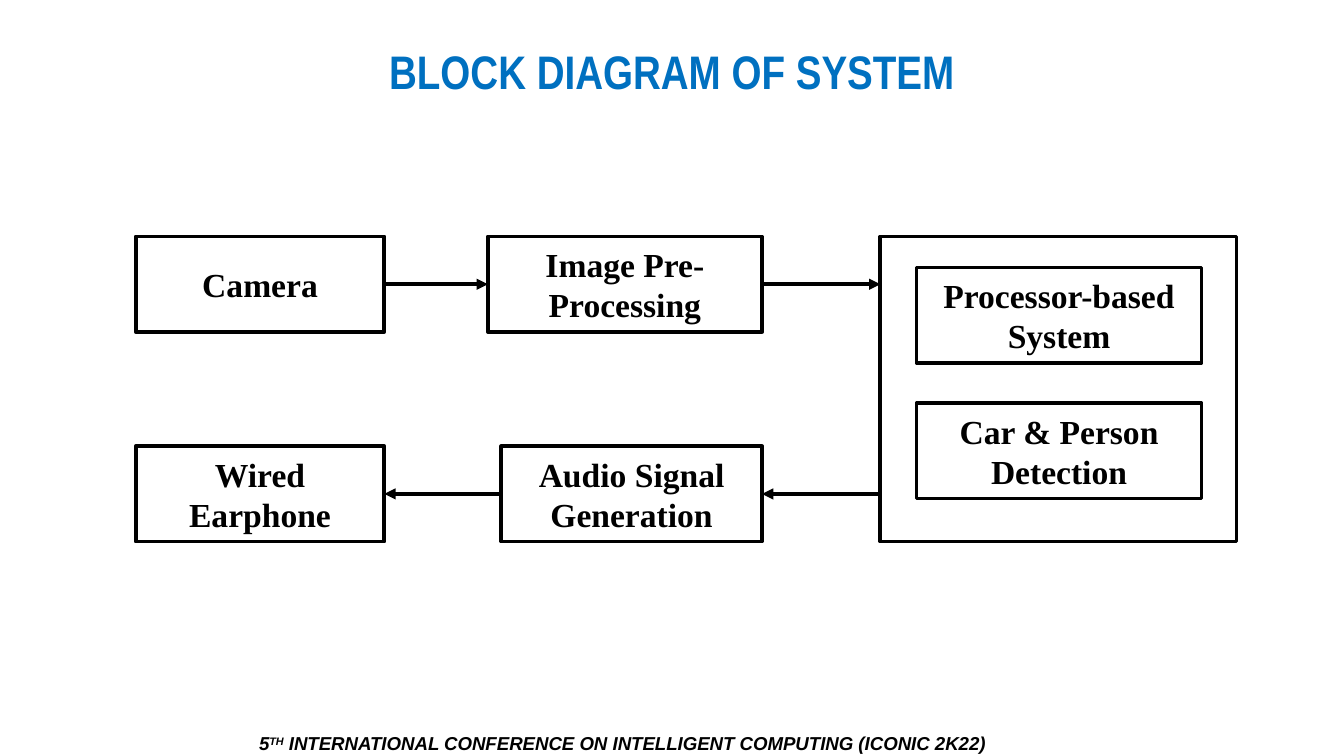
"""Build the block diagram slide of the car and person detection system."""
from dataclasses import dataclass

from lxml import etree
from pptx import Presentation
from pptx.dml.color import RGBColor
from pptx.enum.shapes import MSO_CONNECTOR, MSO_SHAPE
from pptx.enum.text import MSO_ANCHOR, MSO_AUTO_SIZE, PP_ALIGN
from pptx.oxml.ns import qn
from pptx.util import Inches, Pt

RECTANGLE = MSO_SHAPE.RECTANGLE
STRAIGHT = MSO_CONNECTOR.STRAIGHT
TOP, MIDDLE = MSO_ANCHOR.TOP, MSO_ANCHOR.MIDDLE
CENTER = PP_ALIGN.CENTER
NO_AUTOFIT = MSO_AUTO_SIZE.NONE

WIDTH = 10
HEIGHT = WIDTH * 9 / 16
BLACK, WHITE, BLUE = "000000", "FFFFFF", "0070C0"
LINE_WIDTH = 2
BLOCK_HEIGHT = 0.71
TOP_ROW, BOTTOM_ROW = 1.76, 3.32
INNER_TOP, INNER_BOTTOM = 1.99, 3


@dataclass(frozen=True)
class Column:
    """A horizontal span in inches."""
    left: float
    right: float


@dataclass(frozen=True)
class Block:
    """A box of the diagram, placed by column and row."""
    text: str
    column: Column
    top: float
    height: float = BLOCK_HEIGHT


@dataclass(frozen=True)
class Arrow:
    """A horizontal arrow through the middle of a row."""
    start: float
    end: float
    row: float


ENDS = Column(1.01, 2.86)
IMAGE = Column(3.63, 5.67)
AUDIO = Column(3.73, 5.67)
SYSTEM = Column(6.55, 9.2)
INNER = Column(6.82, 8.94)

BLOCKS = [
    Block("Camera", ENDS, TOP_ROW),
    Block("Audio Signal Generation", AUDIO, BOTTOM_ROW),
    Block("", SYSTEM, TOP_ROW, BOTTOM_ROW + BLOCK_HEIGHT - TOP_ROW),
    Block("Image Pre-Processing", IMAGE, TOP_ROW),
    Block("Wired Earphone", ENDS, BOTTOM_ROW),
    Block("Processor-based System", INNER, INNER_TOP),
    Block("Car & Person Detection", INNER, INNER_BOTTOM),
]
ARROWS = [
    Arrow(ENDS.right, IMAGE.left, TOP_ROW),
    Arrow(IMAGE.right, SYSTEM.left, TOP_ROW),
    Arrow(AUDIO.left, ENDS.right, BOTTOM_ROW),
    Arrow(SYSTEM.left, AUDIO.right, BOTTOM_ROW),
]
FOOTER = [
    ("5", 0),
    ("TH", 30),
    (" INTERNATIONAL CONFERENCE ON INTELLIGENT COMPUTING (ICONIC 2K22)", 0),
]


def color(value: str) -> RGBColor:
    """Turn a hex string into a colour."""
    return RGBColor.from_string(value)


def add_run(paragraph, text: str, name: str, size: float, value: str = BLACK,
            italic: bool = False, baseline: int = 0) -> None:
    """Add one bold run, raised by a percentage if asked."""
    run = paragraph.add_run()
    run.text = text
    run.font.name, run.font.size = name, Pt(size)
    run.font.bold, run.font.italic = True, italic
    run.font.color.rgb = color(value)
    if baseline:
        run.font._element.set("baseline", str(baseline * 1000))


def prepare_text(shape, anchor=MIDDLE):
    """Set up a wrapping text frame and return its centred paragraph."""
    frame = shape.text_frame
    frame.word_wrap = True
    frame.auto_size = NO_AUTOFIT
    frame.vertical_anchor = anchor
    paragraph = frame.paragraphs[0]
    paragraph.alignment = CENTER
    return paragraph


def add_title(slide) -> None:
    """Place and format the title placeholder."""
    title = slide.shapes.title
    title.left, title.top = Inches(0.05 * WIDTH), Inches(0.32)
    title.width, title.height = Inches(0.9 * WIDTH), Inches(0.41)
    paragraph = prepare_text(title)
    frame = title.text_frame
    frame.margin_left = frame.margin_right = Inches(0.1)
    frame.margin_top = frame.margin_bottom = Inches(0.1)
    add_run(paragraph, "BLOCK DIAGRAM OF SYSTEM", "Arial Narrow", 25.2, BLUE)


def add_block(slide, block: Block) -> None:
    """Draw one outlined box with its label."""
    column = block.column
    shape = slide.shapes.add_shape(
        RECTANGLE, Inches(column.left), Inches(block.top),
        Inches(column.right - column.left), Inches(block.height))
    shape.shadow.inherit = False
    shape.fill.solid()
    shape.fill.fore_color.rgb = color(WHITE)
    shape.line.color.rgb = color(BLACK)
    shape.line.width = Pt(LINE_WIDTH)
    if block.text:
        add_run(prepare_text(shape), block.text, "Times New Roman", 18)


def add_arrow(slide, arrow: Arrow) -> None:
    """Draw one connector with a triangle at its end."""
    y = Inches(arrow.row + BLOCK_HEIGHT / 2)
    connector = slide.shapes.add_connector(
        STRAIGHT, Inches(arrow.start), y, Inches(arrow.end), y)
    connector.line.color.rgb = color(BLACK)
    connector.line.width = Pt(LINE_WIDTH)
    line = connector.line._get_or_add_ln()
    etree.SubElement(line, qn("a:tailEnd"), type="triangle")
    etree.SubElement(connector._element.spPr, qn("a:effectLst"))


def add_footer(slide) -> None:
    """Write the conference line at the bottom edge."""
    box = slide.shapes.add_textbox(
        Inches(0.83), Inches(5.4), Inches(0.76 * WIDTH), Inches(0.27))
    paragraph = prepare_text(box, TOP)
    for text, baseline in FOOTER:
        add_run(paragraph, text, "Arial", 10, italic=True, baseline=baseline)


def main() -> None:
    """Build and save the presentation."""
    presentation = Presentation()
    presentation.slide_width = Inches(WIDTH)
    presentation.slide_height = Inches(HEIGHT)
    title_only = presentation.slide_layouts.get_by_name("Title Only")
    slide = presentation.slides.add_slide(title_only)
    add_title(slide)
    for block in BLOCKS:
        add_block(slide, block)
    for arrow in ARROWS:
        add_arrow(slide, arrow)
    add_footer(slide)
    presentation.save("out.pptx")


if __name__ == "__main__":
    main()
